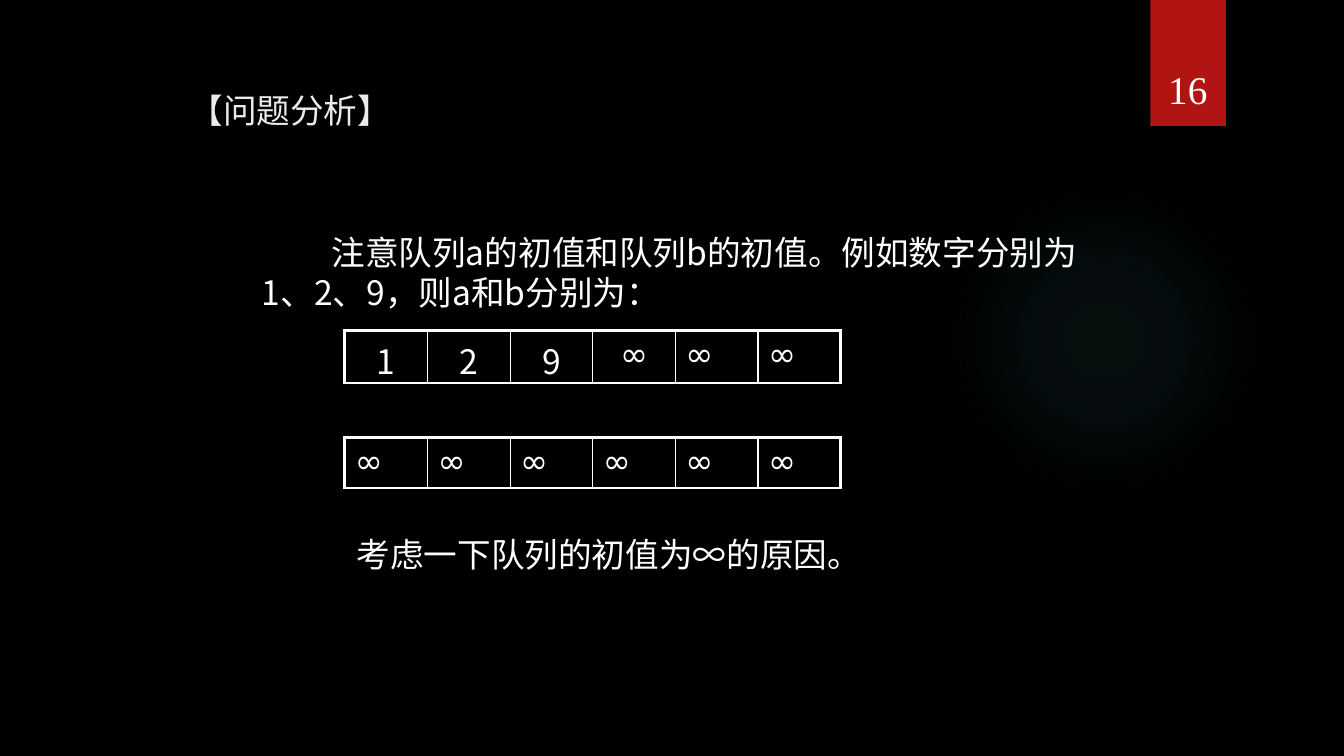
from dataclasses import dataclass

from lxml import etree
from pptx import Presentation
from pptx.dml.color import RGBColor
from pptx.enum.shapes import MSO_SHAPE
from pptx.enum.text import MSO_ANCHOR, MSO_AUTO_SIZE, PP_ALIGN
from pptx.oxml import parse_xml
from pptx.oxml.ns import qn
from pptx.util import Inches, Pt

RECT, OVAL = MSO_SHAPE.RECTANGLE, MSO_SHAPE.OVAL
LEFT, CENTER = PP_ALIGN.LEFT, PP_ALIGN.CENTER
TOP, BOTTOM = MSO_ANCHOR.TOP, MSO_ANCHOR.BOTTOM
GROW, FIXED = MSO_AUTO_SIZE.SHAPE_TO_FIT_TEXT, MSO_AUTO_SIZE.NONE
NS = "http://schemas.openxmlformats.org/drawingml/2006/main"


@dataclass(frozen=True)
class Theme:
    back: str = "000000"
    ink: str = "FFFFFF"
    title: str = "EBEBEB"
    tag: str = "B01513"
    glow: str = "50B9C1"
    body: str = "Noto Sans CJK SC"
    math: str = "DejaVu Sans"
    serif: str = "Times New Roman"
    size: float = 24
    big: float = 28
    thick: float = 2.25
    thin: float = 1


@dataclass(frozen=True)
class Box:
    x: float
    y: float
    w: float
    h: float

    def place(self) -> tuple:
        return tuple(Inches(v) for v in (self.x, self.y, self.w, self.h))


@dataclass(frozen=True)
class Queue:
    y: float
    h: float
    items: str
    mid: int


@dataclass(frozen=True)
class Note:
    box: Box
    text: str


THEME = Theme()
QUEUES = [Queue(3.28, 0.52, "129∞∞∞", 4), Queue(4.34, 0.5, "∞∞∞∞∞∞", 0)]
NOTES = [
    Note(Box(2.5, 2.25, 8.67, 0.91),
         "注意队列a的初值和队列b的初值。例如数字分别为1、2、9，则a和b分别为："),
    Note(Box(2.75, 5.25, 8.67, 0.5), "考虑一下队列的初值为∞的原因。"),
]


def add_run(para, text: str, face: str = THEME.body,
            size: float = THEME.size, color: str = THEME.ink) -> None:
    run = para.add_run()
    run.text = text
    run.font.name = face
    run.font.size = Pt(size)
    run.font.bold = False
    run.font.color.rgb = RGBColor.from_string(color)
    for tag in ("a:ea", "a:cs", "a:sym"):
        etree.SubElement(run.font._element, qn(tag), typeface=face)


def set_gap(para, indent: float = 0) -> None:
    props = para._p.get_or_add_pPr()
    if indent:
        props.set("marL", "0")
        props.set("indent", str(Inches(indent)))
    gap = etree.SubElement(props, qn("a:spcBef"))
    etree.SubElement(gap, qn("a:spcPct"), val="20000")


def add_shape(slide, kind, box: Box):
    shape = slide.shapes.add_shape(kind, *box.place())
    shape.shadow.inherit = False
    shape.line.fill.background()
    return shape


def add_glow(slide) -> None:
    shape = add_shape(slide, OVAL, Box(9.41, 1.83, 3.08, 3.08))
    stops = "".join(
        f'<a:gs pos="{pos * 1000}"><a:srgbClr val="{THEME.glow}">'
        f'<a:alpha val="{alpha * 1000}"/></a:srgbClr></a:gs>'
        for pos, alpha in ((0, 7), (36, 6), (69, 0)))
    grad = parse_xml(
        f'<a:gradFill xmlns:a="{NS}" rotWithShape="1"><a:gsLst>{stops}</a:gsLst>'
        '<a:path path="circle"><a:fillToRect l="50000" t="50000" r="50000" '
        'b="50000"/></a:path></a:gradFill>')
    shape._element.spPr.find(qn("a:prstGeom")).addnext(grad)


def add_text(slide, box: Box, anchor=TOP, fit=GROW):
    frame = slide.shapes.add_textbox(*box.place()).text_frame
    frame.word_wrap = True
    frame.auto_size = fit
    frame.vertical_anchor = anchor
    return frame.paragraphs[0]


def add_note(slide, note: Note) -> None:
    para = add_text(slide, note.box)
    set_gap(para, 0.69)
    add_run(para, note.text)


def add_tag(slide) -> None:
    para = add_text(slide, Box(11.32, 0.32, 0.92, 0.84), BOTTOM, FIXED)
    para.alignment = CENTER
    add_run(para, "16", THEME.serif, THEME.big)


def add_edge(cell, side: str, width: float) -> None:
    line = etree.SubElement(cell._tc.get_or_add_tcPr(), qn(f"a:ln{side}"),
                            w=str(Pt(width)))
    fill = etree.SubElement(line, qn("a:solidFill"))
    etree.SubElement(fill, qn("a:srgbClr"), val=THEME.ink)


def add_queue(slide, queue: Queue) -> None:
    count = len(queue.items)
    box = Box(3.42, queue.y, 0.82 * count, queue.h)
    table = slide.shapes.add_table(1, count, *box.place()).table
    table.first_row = False
    table.horz_banding = False
    for col, item in enumerate(queue.items):
        cell = table.cell(0, col)
        ends = {"L": col == 0, "R": col == count - 1, "T": True, "B": True}
        for side, outer in ends.items():
            add_edge(cell, side, THEME.thick if outer else THEME.thin)
        cell.fill.background()
        para = cell.text_frame.paragraphs[0]
        para.alignment = CENTER if col < queue.mid else LEFT
        set_gap(para)
        add_run(para, item, THEME.math if item == "∞" else THEME.body)


def add_title(slide) -> None:
    title = slide.shapes.title
    title.left, title.top, title.width, title.height = Box(1.78, 0.84, 3.47, 0.77).place()
    frame = title.text_frame
    frame.vertical_anchor = TOP
    frame.auto_size = FIXED
    para = frame.paragraphs[0]
    para.alignment = LEFT
    add_run(para, "【问题分析】", color=THEME.title)


def main() -> None:
    deck = Presentation()
    deck.slide_width, deck.slide_height = Inches(13.33), Inches(7.5)
    slide = deck.slides.add_slide(deck.slide_layouts[5])
    fill = slide.background.fill
    fill.solid()
    fill.fore_color.rgb = RGBColor.from_string(THEME.back)
    add_glow(slide)
    flag = add_shape(slide, RECT, Box(11.41, 0, 0.75, 1.25))
    flag.fill.solid()
    flag.fill.fore_color.rgb = RGBColor.from_string(THEME.tag)
    add_title(slide)
    add_tag(slide)
    for note in NOTES:
        add_note(slide, note)
    for queue in QUEUES:
        add_queue(slide, queue)
    deck.save("out.pptx")


if __name__ == "__main__":
    main()
